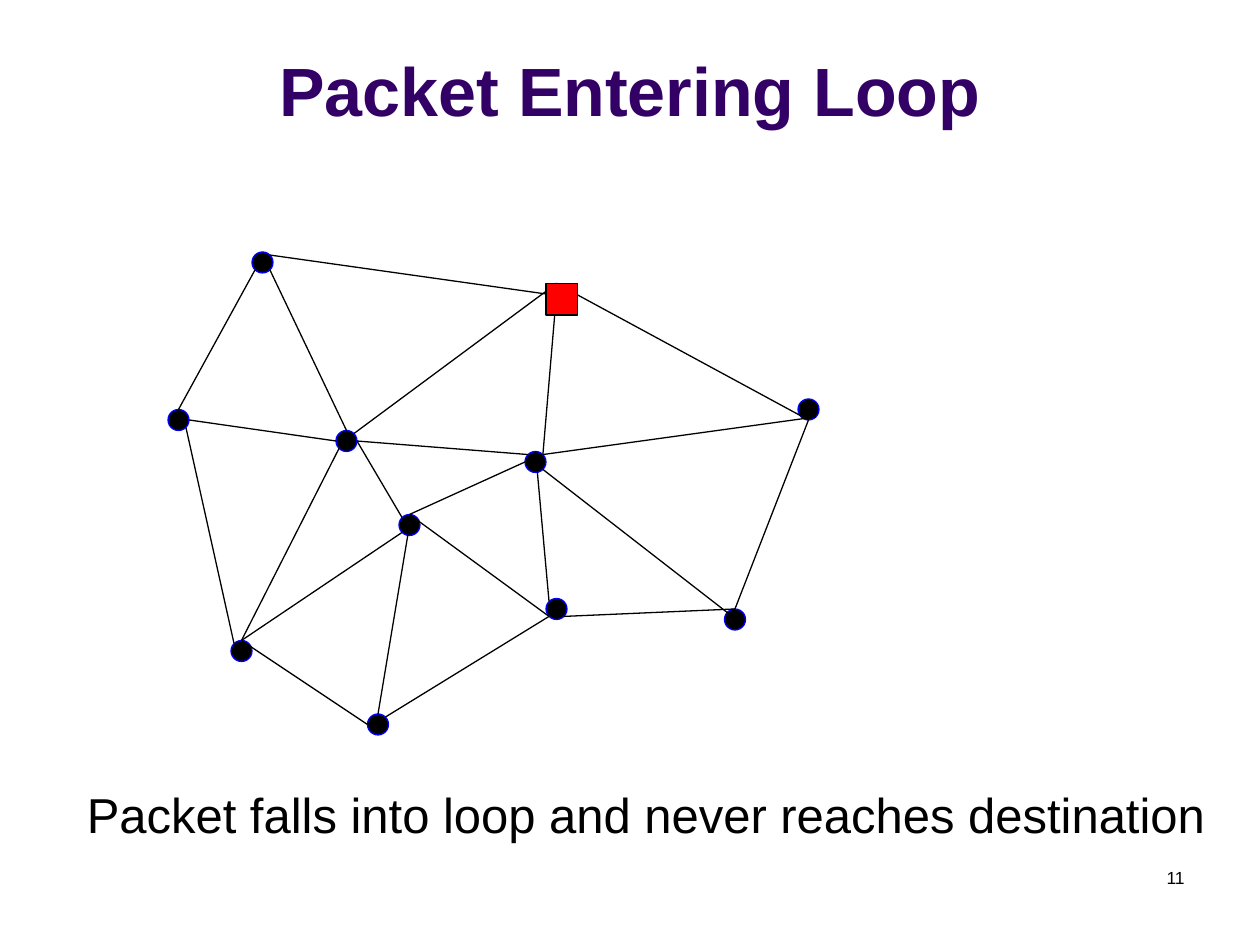
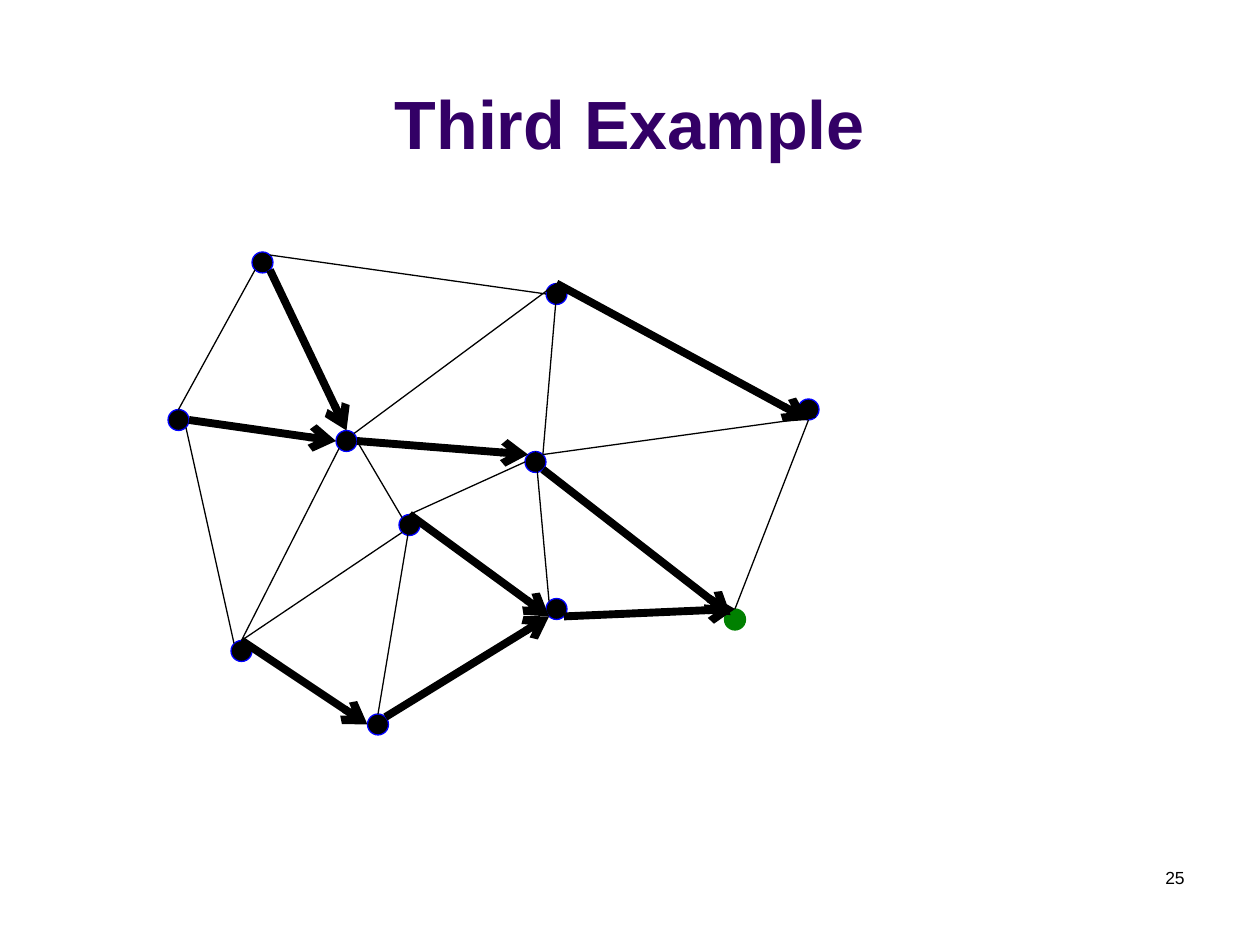
import math

import lxml.etree
import pptx
import pptx.dml.color
import pptx.enum.shapes
import pptx.enum.text
import pptx.oxml.ns
import pptx.util

Pt = pptx.util.Pt
RGBColor = pptx.dml.color.RGBColor
ALIGN = pptx.enum.text.PP_ALIGN
ANCHOR = pptx.enum.text.MSO_ANCHOR
SHAPE = pptx.enum.shapes.MSO_SHAPE

BLACK = RGBColor(0x00, 0x00, 0x00)
BLUE = RGBColor(0x00, 0x00, 0xFF)
RED = RGBColor(0xFF, 0x00, 0x00)
GREEN = RGBColor(0x00, 0x80, 0x00)
PURPLE = RGBColor(0x33, 0x00, 0x66)

FONT = "Arial"
SLIDE_WIDTH, SLIDE_HEIGHT = 720, 540
RADIUS = 6
THIN, THICK = 0.75, 4.5

# Centre of each network node
NODES = {
    "northwest": (150, 150),
    "west": (102, 240),
    "north": (318, 168),
    "low": (318, 348),
    "south": (216, 414),
    "hub": (198, 252),
    "east": (462, 234),
    "inner": (234, 300),
    "southwest": (138, 372),
    "middle": (306, 264),
    "southeast": (420, 354),
}

# Each link: start node, side of the start node, end node, side of the end node
LINKS = [
    ("northwest", "SE", "hub", "N"),
    ("northwest", "SW", "west", "N"),
    ("west", "SE", "southwest", "NW"),
    ("hub", "E", "inner", "NW"),
    ("middle", "SE", "southeast", "inside NW"),
    ("north", "centre", "middle", "NE"),
    ("north", "N", "east", "S"),
    ("east", "S", "southeast", "N"),
    ("southwest", "N", "south", "W"),
    ("inner", "N", "low", "SW"),
    ("low", "SE", "southeast", "N"),
    ("middle", "N", "low", "NW"),
    ("inner", "centre", "south", "N"),
    ("hub", "E", "middle", "NW"),
    ("west", "E", "hub", "W"),
    ("southwest", "N", "inner", "SW"),
    ("south", "NE", "low", "SW"),
    ("southwest", "N", "hub", "SW"),
    ("inner", "N", "middle", "W"),
    ("middle", "NE", "east", "SE"),
    ("northwest", "NE", "north", "W"),
    ("hub", "NE", "north", "N"),
]

SLIDES = [
    {
        "title": "Packet Entering Loop",
        "title_top": 9.5,
        "number": "11",
        "caption": "Packet falls into loop and never reaches destination",
        "packet_at": "north",
    },
    {
        "title": "Third Example",
        "title_top": 28,
        "number": "25",
        "destination": "southeast",
        "routes": {
            ("northwest", "hub"), ("west", "hub"), ("hub", "middle"),
            ("middle", "southeast"), ("north", "east"),
            ("southwest", "south"), ("south", "low"),
            ("inner", "low"), ("low", "southeast"),
        },
    },
]

DIAGONAL = RADIUS * math.sqrt(0.5)
SIDES = {
    "centre": (0, 0),
    "N": (0, -RADIUS), "S": (0, RADIUS), "W": (-RADIUS, 0), "E": (RADIUS, 0),
    "NW": (-DIAGONAL, -DIAGONAL), "NE": (DIAGONAL, -DIAGONAL),
    "SW": (-DIAGONAL, DIAGONAL), "SE": (DIAGONAL, DIAGONAL),
    "inside NW": (-2.5, -2.5),
}


def add_text(page, text, bounds, size, align, color=BLACK, bold=False, anchor=ANCHOR.TOP):
    box = page.shapes.add_textbox(*map(Pt, bounds))
    frame = box.text_frame
    frame.word_wrap = True
    frame.vertical_anchor = anchor
    para = frame.paragraphs[0]
    para.alignment = align
    span = para.add_run()
    span.text = text
    span.font.name = FONT
    span.font.size = Pt(size)
    span.font.bold = bold
    span.font.color.rgb = color


def add_marker(page, kind, left, top, size, fill, outline):
    marker = page.shapes.add_shape(kind, Pt(left), Pt(top), Pt(size), Pt(size))
    marker.shadow.inherit = False
    marker.fill.solid()
    marker.fill.fore_color.rgb = fill
    marker.line.color.rgb = outline
    marker.line.width = Pt(THIN)


def side_point(node, side):
    return [Pt(center + offset) for center, offset in zip(NODES[node], SIDES[side])]


def add_link(page, start, start_side, end, end_side, is_route):
    link = page.shapes.add_connector(
        pptx.enum.shapes.MSO_CONNECTOR.STRAIGHT,
        *side_point(start, start_side), *side_point(end, end_side))
    link.line.color.rgb = BLACK
    link.line.width = Pt(THICK if is_route else THIN)
    properties = link.line._get_or_add_ln()
    if is_route:
        lxml.etree.SubElement(properties, pptx.oxml.ns.qn("a:tailEnd"), type="arrow")
    lxml.etree.SubElement(properties.getparent(), pptx.oxml.ns.qn("a:effectLst"))


def add_network(page, routes, destination):
    for name, (x, y) in NODES.items():
        fill, outline = (GREEN, GREEN) if name == destination else (BLACK, BLUE)
        add_marker(page, SHAPE.OVAL, x - RADIUS, y - RADIUS, 2 * RADIUS, fill, outline)
    for start, start_side, end, end_side in LINKS:
        add_link(page, start, start_side, end, end_side, (start, end) in routes)


def add_page(deck, content):
    page = deck.slides.add_slide(deck.slide_layouts[6])
    if "caption" in content:
        add_text(page, content["caption"], (36, 445, 666, 41), 28, ALIGN.CENTER)
    add_text(page, content["title"], (0, content["title_top"], SLIDE_WIDTH, 68.5),
             39, ALIGN.CENTER, PURPLE, True, ANCHOR.BOTTOM)
    add_text(page, content["number"], (516, 492, 168, 36), 10, ALIGN.RIGHT)
    add_network(page, content.get("routes", ()), content.get("destination"))
    if "packet_at" in content:
        x, y = NODES[content["packet_at"]]
        add_marker(page, SHAPE.RECTANGLE, x - RADIUS, y - RADIUS, 18, RED, BLACK)


def main():
    deck = pptx.Presentation()
    deck.slide_width, deck.slide_height = Pt(SLIDE_WIDTH), Pt(SLIDE_HEIGHT)
    for content in SLIDES:
        add_page(deck, content)
    deck.save("out.pptx")


if __name__ == "__main__":
    main()
